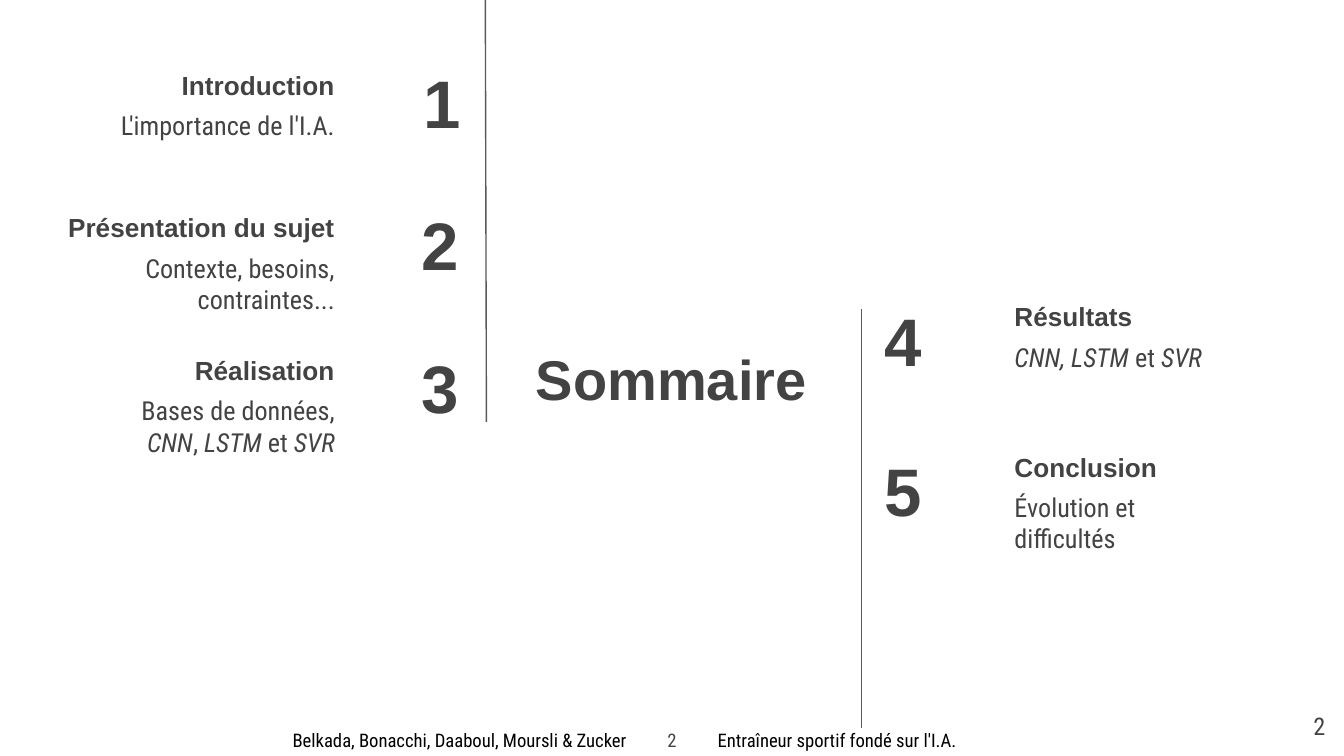
from dataclasses import dataclass

import pptx
import pptx.dml.color
import pptx.enum.shapes
import pptx.enum.text
import pptx.oxml
import pptx.oxml.ns
import pptx.util

Pt = pptx.util.Pt
Align = pptx.enum.text.PP_ALIGN
Anchor = pptx.enum.text.MSO_ANCHOR


@dataclass(frozen=True)
class Theme:
    ink: str = "434343"
    black: str = "000000"
    rule: str = "595959"
    display: str = "Arial"
    text: str = "Roboto Condensed"
    title: float = 30
    number: float = 36
    topic: float = 14
    page: float = 13
    footer: float = 10


@dataclass(frozen=True)
class Box:
    left: float
    top: float
    width: float
    height: float


@dataclass(frozen=True)
class Topic:
    heading: str
    detail: str
    number_shift: float = 0


@dataclass(frozen=True)
class Side:
    """One column of topics: where its parts stand and how they align."""
    align: Align
    first_number: int
    top: float
    step: float
    heading_left: float
    heading_width: float
    detail_left: float
    number_left: float
    number_width: float
    number_drop: float
    topics: tuple[Topic, ...]


THEME = Theme()
INSET = 7.2
ROW_HEIGHT = 45.4
DETAIL_DROP = 35.8

LEFT = Side(
    Align.RIGHT, 1, 15.8, 76.3, 25.9, 160.4, 54.7, 165.6, 87.1, 15.8,
    (
        Topic("Introduction", "L'importance de l'I.A.", 1.4),
        Topic("Présentation du sujet", "Contexte, besoins, contraintes..."),
        Topic("Réalisation", "Bases de données, *CNN*, *LSTM* et *SVR*"),
    ),
)
RIGHT = Side(
    Align.LEFT, 4, 139.7, 80.6, 536.4, 155.5, 536.4, 466.6, 84.2, 19.4,
    (
        Topic("Résultats", "*CNN, LSTM* et *SVR*"),
        Topic("Conclusion", "Évolution et difficultés"),
    ),
)


def write(frame, words: str, align: Align, size: float, font: str,
          color: str = THEME.ink, bold: bool = False) -> None:
    """Fill the first paragraph; words between asterisks become italic."""
    paragraph = frame.paragraphs[0]
    paragraph.alignment = align
    for index, part in enumerate(words.split("*")):
        if not part:
            continue
        run = paragraph.add_run()
        run.text = part
        run.font.size = Pt(size)
        run.font.name = font
        run.font.bold = bold
        run.font.italic = index % 2 == 1
        run.font.color.rgb = pptx.dml.color.RGBColor.from_string(color)


def set_frame(frame, anchor: Anchor) -> None:
    frame.word_wrap = True
    frame.auto_size = pptx.enum.text.MSO_AUTO_SIZE.NONE
    frame.vertical_anchor = anchor
    frame.margin_left = frame.margin_right = Pt(INSET)
    frame.margin_top = frame.margin_bottom = Pt(INSET)


def add_text(slide, box: Box, words: str, align: Align, anchor: Anchor,
             size: float, font: str, bold: bool = False) -> None:
    label = slide.shapes.add_textbox(
        Pt(box.left), Pt(box.top), Pt(box.width), Pt(box.height))
    set_frame(label.text_frame, anchor)
    write(label.text_frame, words, align, size, font, bold=bold)


def add_title(slide, box: Box, words: str) -> None:
    title = slide.shapes.title
    title.left, title.top = Pt(box.left), Pt(box.top)
    title.width, title.height = Pt(box.width), Pt(box.height)
    set_frame(title.text_frame, Anchor.MIDDLE)
    write(title.text_frame, words, Align.CENTER, THEME.title, THEME.display, bold=True)


def add_side(slide, side: Side) -> None:
    for index, topic in enumerate(side.topics):
        top = side.top + index * side.step
        add_text(slide, Box(side.heading_left, top, side.heading_width, ROW_HEIGHT),
                 topic.heading, side.align, Anchor.BOTTOM,
                 THEME.topic, THEME.display, bold=True)
        add_text(slide, Box(side.detail_left, top + DETAIL_DROP, 131.8, ROW_HEIGHT),
                 topic.detail, side.align, Anchor.TOP, THEME.topic, THEME.text)
        add_text(slide, Box(side.number_left + topic.number_shift, top + side.number_drop,
                            side.number_width, ROW_HEIGHT),
                 str(side.first_number + index), side.align, Anchor.MIDDLE,
                 THEME.number, THEME.display, bold=True)


def add_rule(slide, x1: float, y1: float, x2: float, y2: float) -> None:
    rule = slide.shapes.add_connector(
        pptx.enum.shapes.MSO_CONNECTOR.STRAIGHT, Pt(x1), Pt(y1), Pt(x2), Pt(y2))
    rule.line.width = Pt(0.75)
    rule.line.color.rgb = pptx.dml.color.RGBColor.from_string(THEME.rule)
    properties = rule._element.find(pptx.oxml.ns.qn("p:spPr"))
    properties.append(pptx.oxml.parse_xml(
        f'<a:effectLst {pptx.oxml.ns.nsdecls("a")}/>'))


def add_footer(slide) -> None:
    columns = (
        (194.4, "Belkada, Bonacchi, Daaboul, Moursli & Zucker", Align.RIGHT, THEME.black),
        (34.6, "2", Align.CENTER, THEME.ink),
        (194.4, "Entraîneur sportif fondé sur l'I.A.", Align.LEFT, THEME.black),
    )
    total_width = sum(column[0] for column in columns)
    footer = slide.shapes.add_table(
        1, len(columns), Pt(148.3), Pt(388.8), Pt(total_width), Pt(16.6)).table
    footer.first_row = footer.horz_banding = False
    for index, (width, words, align, color) in enumerate(columns):
        footer.columns[index].width = Pt(width)
        cell = footer.cell(0, index)
        cell.fill.background()
        cell.vertical_anchor = Anchor.MIDDLE
        cell.margin_left = cell.margin_right = Pt(INSET)
        cell.margin_top = cell.margin_bottom = 0
        write(cell.text_frame, words, align, THEME.footer, THEME.text, color)


def main() -> None:
    deck = pptx.Presentation()
    deck.slide_width, deck.slide_height = Pt(720), Pt(405)
    slide = deck.slides.add_slide(deck.slide_layouts.get_by_name("Title Only"))
    add_footer(slide)
    add_title(slide, Box(266.4, 165.6, 186.5, 74.2), "Sommaire")
    add_side(slide, LEFT)
    add_side(slide, RIGHT)
    add_rule(slide, 260, 0, 260.6, 226)
    add_rule(slide, 461.5, 165.6, 461.5, 390.2)
    add_text(slide, Box(673.9, 373.7, 43.2, 31), "2", Align.RIGHT, Anchor.TOP,
             THEME.page, THEME.text)
    deck.save("out.pptx")


if __name__ == "__main__":
    main()
